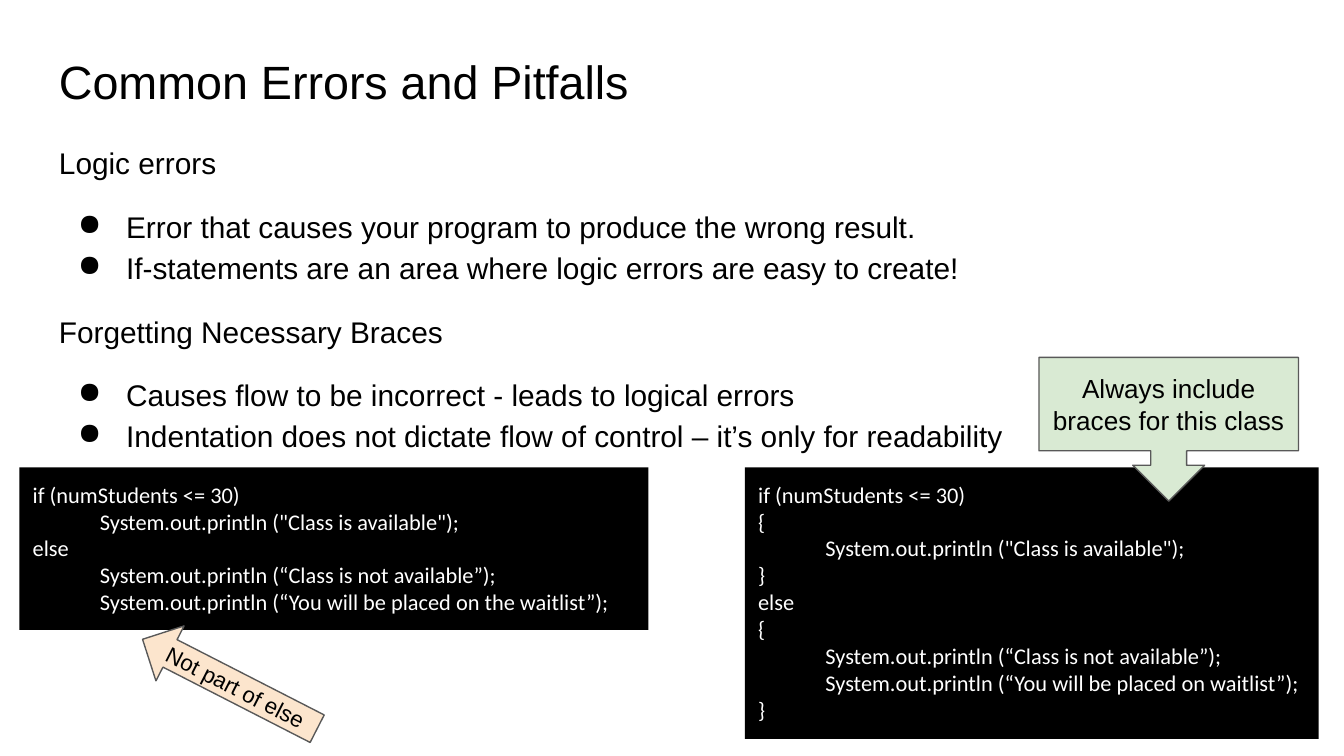
from lxml import etree
from pptx import Presentation
from pptx.dml.color import RGBColor
from pptx.enum import shapes, text
from pptx.oxml import ns
from pptx.util import Pt

BLACK = RGBColor(0x00, 0x00, 0x00)
WHITE = RGBColor(0xFF, 0xFF, 0xFF)
OUTLINE = RGBColor(0x59, 0x59, 0x59)
PEACH = RGBColor(0xFC, 0xE5, 0xCD)
GREEN = RGBColor(0xD9, 0xEA, 0xD3)

INDENT = 36
HANGING = -25.9

TOPICS = {
    "Logic errors": [
        "Error that causes your program to produce the wrong result.",
        "If-statements are an area where logic errors are easy to create!",
    ],
    "Forgetting Necessary Braces": [
        "Causes flow to be incorrect - leads to logical errors",
        "Indentation does not dictate flow of control – it’s only for readability",
    ],
}

WITHOUT_BRACES = [
    (0, "if (numStudents <= 30)"),
    (1, 'System.out.println ("Class is available");'),
    (0, "else"),
    (1, "System.out.println (“Class is not available”);"),
    (1, "System.out.println (“You will be placed on the waitlist”);"),
]

WITH_BRACES = [
    (0, "if (numStudents <= 30)"),
    (0, "{"),
    (1, 'System.out.println ("Class is available");'),
    (0, "}"),
    (0, "else"),
    (0, "{"),
    (1, "System.out.println (“Class is not available”);"),
    (1, "System.out.println (“You will be placed on waitlist”);"),
    (0, "}"),
]


def apply_format(target, values):
    for name, value in values.items():
        setattr(target, name, value)


def prepare_frame(holder, anchor=text.MSO_ANCHOR.TOP):
    frame = holder.text_frame
    margins = {f"margin_{side}": Pt(7.2) for side in ("left", "right", "top", "bottom")}
    apply_format(frame, {"word_wrap": True, "vertical_anchor": anchor, **margins})
    return frame


def write_lines(frame, lines, size, font="Arial", color=BLACK, align=text.PP_ALIGN.LEFT):
    paragraphs = []
    for index, line in enumerate(lines):
        paragraph = frame.add_paragraph() if index else frame.paragraphs[0]
        paragraph.alignment = align
        run = paragraph.add_run()
        run.text = line
        apply_format(run.font, {"size": Pt(size), "name": font})
        run.font.color.rgb = color
        paragraphs.append(paragraph)
    return paragraphs


def set_indent(paragraph, left, first=0):
    properties = paragraph._p.get_or_add_pPr()
    properties.set("marL", str(Pt(left)))
    properties.set("indent", str(Pt(first)))
    return properties


def add_bullet(paragraph):
    properties = set_indent(paragraph, INDENT, HANGING)
    bullet_color = etree.SubElement(properties, ns.qn("a:buClr"))
    etree.SubElement(bullet_color, ns.qn("a:srgbClr"), val=str(BLACK))
    etree.SubElement(properties, ns.qn("a:buChar"), char="●")


def add_title(slide, title):
    heading = slide.shapes.add_textbox(Pt(24.5), Pt(20.9), Pt(671), Pt(45.4))
    write_lines(prepare_frame(heading), [title], 25)


def add_topics(slide, topics):
    body = slide.shapes.add_textbox(Pt(24.5), Pt(67.7), Pt(671), Pt(269.3))
    rows = [row for topic, points in topics.items() for row in (topic, *points)]
    paragraphs = write_lines(prepare_frame(body), rows, 16)
    for index, (row, paragraph) in enumerate(zip(rows, paragraphs)):
        starts_group = row in topics or rows[index - 1] in topics
        spacing = {
            "line_spacing": 1.15,
            "space_before": Pt(12 if index and starts_group else 0),
        }
        apply_format(paragraph, spacing)
        if row not in topics:
            add_bullet(paragraph)


def add_block(slide, preset, left, top, width, height, fill, outline=None):
    block = slide.shapes.add_shape(preset, Pt(left), Pt(top), Pt(width), Pt(height))
    block.shadow.inherit = False
    block.fill.solid()
    block.fill.fore_color.rgb = fill
    if outline is None:
        block.line.fill.background()
    else:
        block.line.color.rgb = outline
        block.line.width = Pt(0.75)
    return block


def add_code(slide, left, width, height, code):
    panel = add_block(slide, shapes.MSO_SHAPE.RECTANGLE, left, 250.4, width, height, BLACK)
    lines = [line for _, line in code]
    paragraphs = write_lines(prepare_frame(panel), lines, 12, "Calibri", WHITE)
    for (level, _), paragraph in zip(code, paragraphs):
        set_indent(paragraph, level * INDENT)


def add_note(slide, preset, bounds, fill, note, size, align, adjustments, rotation=0):
    pointer = add_block(slide, preset, *bounds, fill, OUTLINE)
    pointer.rotation = rotation
    for index, value in enumerate(adjustments):
        pointer.adjustments[index] = value
    frame = prepare_frame(pointer, text.MSO_ANCHOR.MIDDLE)
    write_lines(frame, [note], size, align=align)


def main():
    deck = Presentation()
    apply_format(deck, {"slide_width": Pt(720), "slide_height": Pt(405)})
    slide = deck.slides.add_slide(deck.slide_layouts[6])

    add_title(slide, "Common Errors and Pitfalls")
    add_topics(slide, TOPICS)
    add_code(slide, 10.4, 337, 87.1, WITHOUT_BRACES)
    add_code(slide, 399.1, 307.4, 145.4, WITH_BRACES)
    add_note(slide, shapes.MSO_SHAPE.LEFT_ARROW, (70.6, 349.9, 105.1, 33.1), PEACH,
             "Not part of else", 12, text.PP_ALIGN.LEFT, (0.5, 0.5), 27.1)
    add_note(slide, shapes.MSO_SHAPE.DOWN_ARROW_CALLOUT, (556.6, 191.5, 139, 77), GREEN,
             "Always include braces for this class", 14, text.PP_ALIGN.CENTER,
             (0.25, 0.25, 0.25, 0.65))

    deck.save("out.pptx")


if __name__ == "__main__":
    main()
